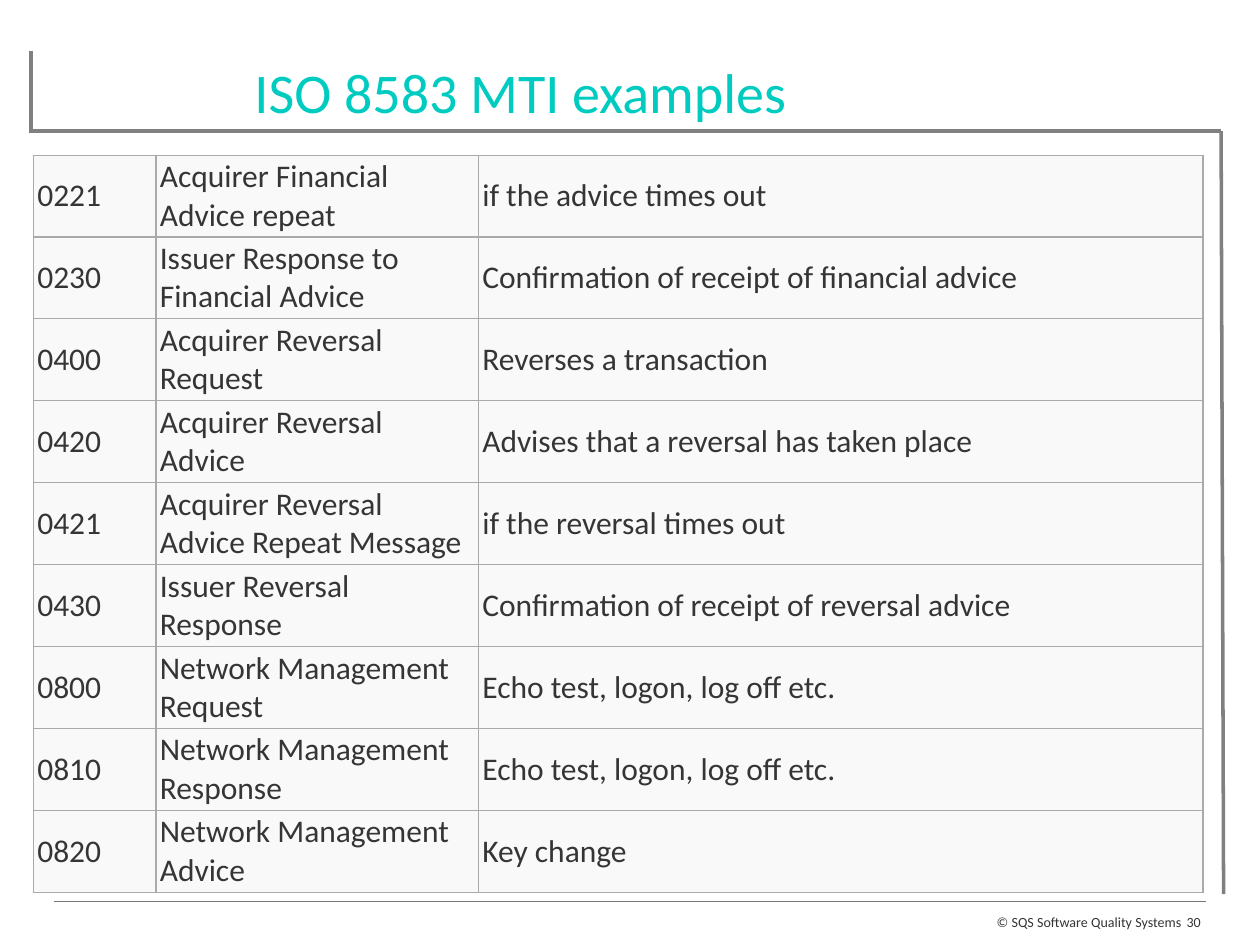
from lxml import etree
from pptx import Presentation
from pptx.dml.color import RGBColor
from pptx.enum.shapes import MSO_CONNECTOR
from pptx.enum.text import MSO_ANCHOR, MSO_AUTO_SIZE, PP_ALIGN
from pptx.oxml.ns import qn
from pptx.util import Pt

STRAIGHT = MSO_CONNECTOR.STRAIGHT
MIDDLE, TOP = MSO_ANCHOR.MIDDLE, MSO_ANCHOR.TOP
NO_AUTOFIT = MSO_AUTO_SIZE.NONE
CENTER, LEFT, RIGHT = PP_ALIGN.CENTER, PP_ALIGN.LEFT, PP_ALIGN.RIGHT
FONT = "Calibri"
TEXT, TEAL, FRAME, RULE = "353535", "00CBC0", "808080", "777777"
CELL_FILL, CELL_BORDER = "F9F9F9", "AAAAAA"

MESSAGE_TYPES = [
    ("0221", "Acquirer Financial Advice repeat", "if the advice times out"),
    ("0230", "Issuer Response to Financial Advice", "Confirmation of receipt of financial advice"),
    ("0400", "Acquirer Reversal Request", "Reverses a transaction"),
    ("0420", "Acquirer Reversal Advice", "Advises that a reversal has taken place"),
    ("0421", "Acquirer Reversal Advice Repeat Message", "if the reversal times out"),
    ("0430", "Issuer Reversal Response", "Confirmation of receipt of reversal advice"),
    ("0800", "Network Management Request", "Echo test, logon, log off etc."),
    ("0810", "Network Management Response", "Echo test, logon, log off etc."),
    ("0820", "Network Management Advice", "Key change"),
]


def color(hex_string):
    """Turn a hex string into a colour."""
    return RGBColor.from_string(hex_string)


def place(shape, left, top, width, height):
    """Move and size a shape, in points."""
    shape.left, shape.top = Pt(left), Pt(top)
    shape.width, shape.height = Pt(width), Pt(height)


def write(frame, text, size, hex_string, alignment, spacing=1.0):
    """Write one formatted run into the first paragraph of a frame."""
    paragraph = frame.paragraphs[0]
    paragraph.alignment = alignment
    paragraph.line_spacing = spacing
    run = paragraph.add_run()
    run.text = text
    run.font.name, run.font.size = FONT, Pt(size)
    run.font.color.rgb = color(hex_string)


def add_line(slide, start, end, hex_string, width):
    """Draw a straight line between two points without a shadow."""
    line = slide.shapes.add_connector(STRAIGHT, *map(Pt, start + end))
    line.line.color.rgb = color(hex_string)
    line.line.width = Pt(width)
    etree.SubElement(line._element.spPr, qn("a:effectLst"))


def add_title(slide, text, left, top, width, height):
    """Fill the title placeholder."""
    title = slide.shapes.title
    place(title, left, top, width, height)
    frame = title.text_frame
    frame.auto_size, frame.vertical_anchor = NO_AUTOFIT, MIDDLE
    frame.margin_bottom = Pt(9)
    write(frame, text, 32, TEAL, CENTER)


def add_frame(slide, left, top, width, height):
    """Draw the open frame: left tick, rule under the title, right edge."""
    rule_top, right = top + 46, left + width
    add_line(slide, (left - 1, rule_top), (right, rule_top), FRAME, 2)
    add_line(slide, (left, rule_top + 1), (left, top), FRAME, 2)
    add_line(slide, (right, rule_top), (right + 1.4, top + height), FRAME, 2)


def set_borders(cell):
    """Give a cell thin grey borders on all four sides."""
    properties = cell._tc.get_or_add_tcPr()
    for index, side in enumerate(("a:lnL", "a:lnR", "a:lnT", "a:lnB")):
        border = etree.Element(qn(side), w=str(Pt(0.75)))
        fill = etree.SubElement(border, qn("a:solidFill"))
        etree.SubElement(fill, qn("a:srgbClr"), val=CELL_BORDER)
        properties.insert(index, border)


def add_message_table(slide, rows, left, top, width, height):
    """Build the table of message types with equal rows."""
    column_widths = (70, 184.3, width - 254.3)
    shape = slide.shapes.add_table(
        len(rows), len(column_widths), Pt(left), Pt(top), Pt(width), Pt(height))
    table = shape.table
    table.first_row = table.horz_banding = False
    for column, column_width in zip(table.columns, column_widths):
        column.width = Pt(column_width)
    for row, texts in zip(table.rows, rows):
        row.height = Pt(height / len(rows))
        for cell, text in zip(row.cells, texts):
            cell.fill.solid()
            cell.fill.fore_color.rgb = color(CELL_FILL)
            cell.margin_left = cell.margin_right = Pt(2.16)
            cell.margin_top = cell.margin_bottom = Pt(1.44)
            cell.vertical_anchor = MIDDLE
            write(cell.text_frame, text, 18, TEXT, LEFT)
            set_borders(cell)


def add_footer(slide, left, top, width, height):
    """Draw the footer rule, the copyright line and the page number."""
    number_width = 13.7
    text_width = width - number_width
    add_line(slide, (left, top), (left + width, top), RULE, 0.75)
    for text, offset, box_width, alignment in (
        ("© SQS Software Quality Systems", 0, text_width, RIGHT),
        ("30", text_width, number_width, CENTER),
    ):
        box = slide.shapes.add_textbox(
            Pt(left + offset), Pt(top + 8), Pt(box_width), Pt(height - 8))
        frame = box.text_frame
        frame.word_wrap, frame.vertical_anchor = True, TOP
        frame.margin_left = frame.margin_right = 0
        frame.margin_top = frame.margin_bottom = 0
        write(frame, text, 8, TEXT, alignment, 0.95)


def main():
    """Build and save the slide."""
    presentation = Presentation()
    presentation.slide_width, presentation.slide_height = Pt(720), Pt(540)
    slide = presentation.slides.add_slide(presentation.slide_layouts[5])
    add_title(slide, "ISO 8583 MTI examples", -3, 26, 601, 57)
    add_frame(slide, 17.8, 29, 680, 482)
    add_message_table(slide, MESSAGE_TYPES, 19.2, 88.6, 668.3, 417.6)
    add_footer(slide, 31, 515, 658, 18.8)
    presentation.save("out.pptx")


if __name__ == "__main__":
    main()
